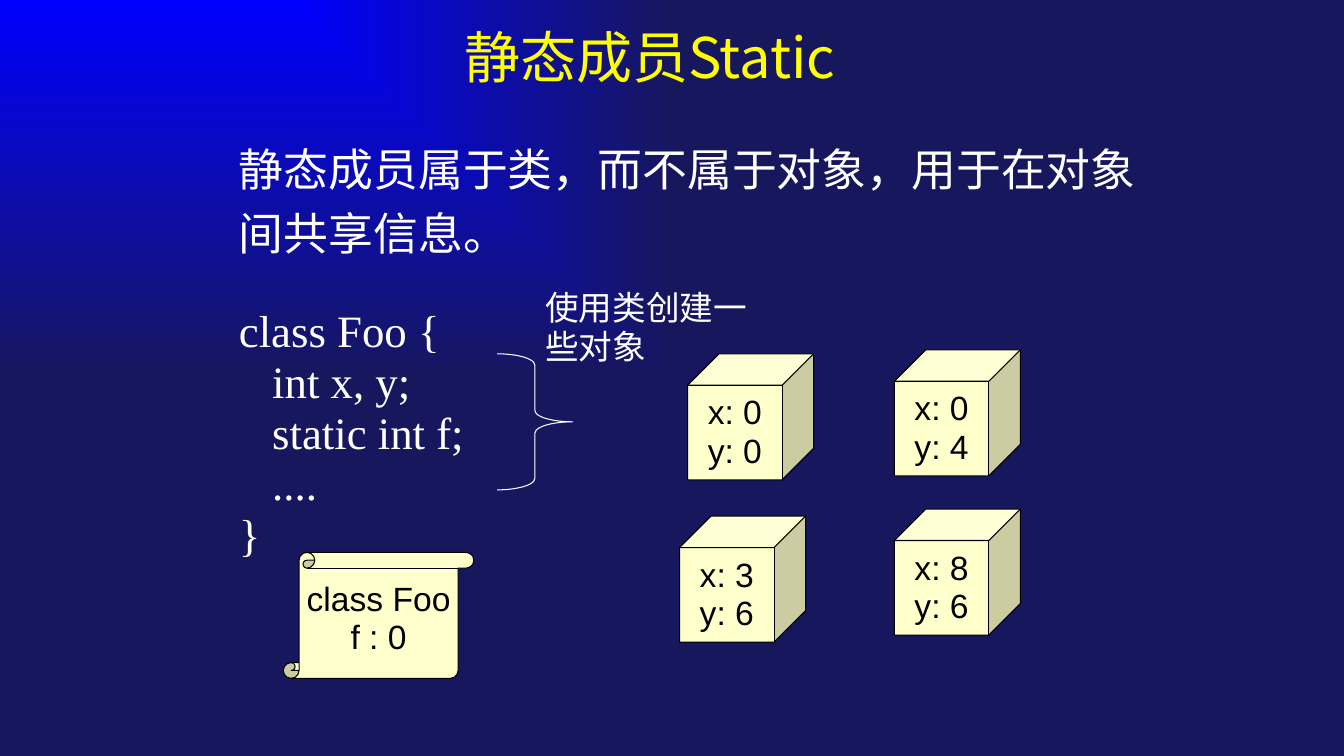
from pptx import Presentation
from pptx.dml.color import RGBColor as Rgb
from pptx.enum.shapes import MSO_SHAPE as Kind
from pptx.enum.text import MSO_ANCHOR as Anchor, PP_ALIGN as Align
from pptx.oxml import parse_xml
from pptx.oxml.ns import qn
from pptx.util import Pt
from lxml.etree import SubElement

PX = 9144  # 100 px to the inch
COLORS = {
    "blue": "0000FF",
    "navy": "17175E",
    "yellow": "FFFF00",
    "white": "FFFFFF",
    "cream": "FFFFCC",
    "black": "000000",
}
HAN = "Noto Sans CJK SC"

TITLE = {"font": HAN, "size": 40, "color": "yellow",
         "para": {"alignment": Align.CENTER}}
INTRO = {"font": "Times New Roman", "size": 32, "color": "white",
         "para": {"line_spacing": Pt(46.4)}}
CODE = {"font": "Times New Roman", "size": 32, "color": "white",
        "para": {"line_spacing": Pt(36.4)}}
NOTE = {"font": "Arial", "size": 24, "color": "white",
        "para": {"line_spacing": 0.95}}
LABEL = {"font": "Arial", "size": 24, "color": "black",
         "para": {"alignment": Align.CENTER, "line_spacing": 0.95}}

CODE_LINES = [("class Foo {", 0), ("int x, y;", 33), ("static int f;", 33),
              ("....", 33), ("}", 0)]
CUBES = [(682, 351, 0, 0), (674, 512, 3, 6), (887, 347, 0, 4), (887, 505, 8, 6)]


def rgb(name):
    return Rgb.from_string(COLORS[name])


def emu(*box):
    return [n * PX for n in box]


def put(item, values):
    for key, value in values.items():
        setattr(item, key, value)


def paint(slide):
    """Set a background gradient that spreads from the top left corner."""
    stops = "".join(
        f'<a:gs pos="{pos}"><a:srgbClr val="{COLORS[name]}"/></a:gs>'
        for pos, name in ((0, "blue"), (100000, "navy")))
    slide.element.cSld.insert(0, parse_xml(
        '<p:bg xmlns:p="http://schemas.openxmlformats.org/presentationml/2006/main"'
        ' xmlns:a="http://schemas.openxmlformats.org/drawingml/2006/main">'
        f'<p:bgPr><a:gradFill rotWithShape="0"><a:gsLst>{stops}</a:gsLst>'
        '<a:path path="rect"><a:fillToRect r="100000" b="100000"/></a:path>'
        '</a:gradFill><a:effectLst/></p:bgPr></p:bg>'))


def write(frame, lines, style):
    """Fill a text frame with (text, indent) lines."""
    for i, (text, indent) in enumerate(lines):
        para = frame.paragraphs[0] if i == 0 else frame.add_paragraph()
        put(para, style["para"])
        if indent:
            para._p.get_or_add_pPr().set("marL", str(indent * PX))
        run = para.add_run()
        run.text = text
        put(run.font, {"name": style["font"], "size": Pt(style["size"])})
        run.font.color.rgb = rgb(style["color"])
        SubElement(run.font._element, qn("a:ea")).set("typeface", HAN)


def add_text(slide, box, lines, style, anchor=Anchor.TOP):
    frame = slide.shapes.add_textbox(*emu(*box)).text_frame
    put(frame, {"word_wrap": True, "vertical_anchor": anchor,
                "margin_left": 0, "margin_right": 0,
                "margin_top": 0, "margin_bottom": 0})
    write(frame, lines, style)


def add_shape(slide, kind, box, line, adjust):
    shape = slide.shapes.add_shape(kind, *emu(*box))
    shape.shadow.inherit = False
    shape.line.color.rgb = rgb(line)
    shape.line.width = Pt(0.75)
    for i, value in enumerate(adjust):
        shape.adjustments[i] = value
    return shape


def add_brace(slide, box):
    add_shape(slide, Kind.RIGHT_BRACE, box, "white", [0.15, 0.5]).fill.background()


def add_card(slide, kind, box, adjust, *lines):
    shape = add_shape(slide, kind, box, "black", [adjust])
    shape.fill.solid()
    shape.fill.fore_color.rgb = rgb("cream")
    frame = shape.text_frame
    put(frame, {"word_wrap": False, "vertical_anchor": Anchor.MIDDLE,
                "margin_left": 9 * PX, "margin_right": 9 * PX,
                "margin_top": 4 * PX, "margin_bottom": 4 * PX})
    write(frame, [(text, 0) for text in lines], LABEL)


def main():
    deck = Presentation()
    put(deck, {"slide_width": 1333 * PX, "slide_height": 750 * PX})
    slide = deck.slides.add_slide(deck.slide_layouts[6])
    paint(slide)
    add_text(slide, (218, 21, 853, 70), [("静态成员Static", 0)], TITLE, Anchor.MIDDLE)
    add_text(slide, (237, 129, 901, 130),
             [("静态成员属于类，而不属于对象，用于在对象", 0), ("间共享信息。", 0)], INTRO)
    add_text(slide, (237, 303, 260, 255), CODE_LINES, CODE)
    add_brace(slide, (493, 351, 75, 135))
    for left, top, x, y in CUBES:
        add_card(slide, Kind.CUBE, (left, top, 125, 125), 0.25, f"x: {x}", f"y: {y}")
    add_text(slide, (541, 288, 213, 122), [("使用类创建一些对象", 0)], NOTE)
    add_card(slide, Kind.VERTICAL_SCROLL, (281, 548, 189, 125), 0.125,
             "class Foo", "f : 0")
    deck.save("out.pptx")


if __name__ == "__main__":
    main()
